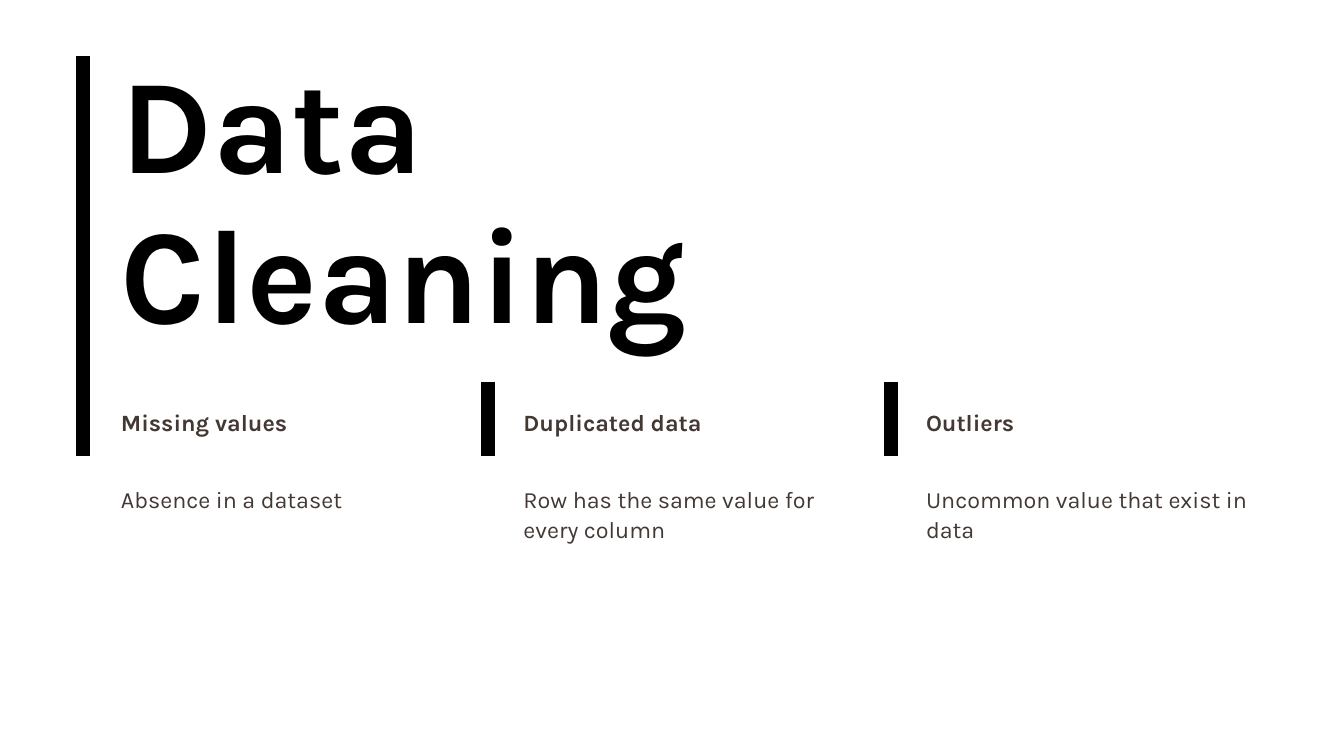
from pptx import Presentation
from pptx.dml.color import RGBColor
from pptx.enum.shapes import MSO_CONNECTOR
from pptx.enum.text import MSO_ANCHOR, MSO_AUTO_SIZE, PP_ALIGN
from pptx.oxml.ns import qn
from pptx.util import Pt
from lxml.etree import SubElement

TITLE = "Data Cleaning"
COLUMNS = [
    ("Missing values", "Absence in a dataset"),
    ("Duplicated data", "Row has the same value for every column"),
    ("Outliers", "Uncommon value that exist in data"),
]
BARS = [(88.6, 60.5), (523.4, 409), (954.7, 409)]
BAR_BOTTOM, BAR_WIDTH = 489, 15
LEFT, COLUMN_PITCH, COLUMN_WIDTH = 129.6, 431.3, 355
HEADING_TOP, DETAIL_TOP = 434.9, 517.7
LINE_HEIGHT = 31.3

TITLE_FONT = {"name": "Karla", "size": Pt(144), "bold": True}
HEADING_FONT = {"name": "Karla", "size": Pt(25), "bold": True}
DETAIL_FONT = {"name": "Karla", "size": Pt(25), "bold": False}
FRAME = {
    "margin_left": 0, "margin_top": 0, "margin_right": 0, "margin_bottom": 0,
    "word_wrap": True, "auto_size": MSO_AUTO_SIZE.NONE,
    "vertical_anchor": MSO_ANCHOR.TOP,
}


def color(value):
    return RGBColor.from_string(value)


def apply(target, values):
    for name, value in values.items():
        setattr(target, name, value)


def write(shape, text, font, ink, spacing):
    apply(shape.text_frame, FRAME)
    paragraph = shape.text_frame.paragraphs[0]
    apply(paragraph, {"alignment": PP_ALIGN.LEFT, "line_spacing": spacing})
    run = paragraph.add_run()
    run.text = text
    apply(run.font, font)
    run.font.color.rgb = color(ink)


def add_bar(slide, x, top):
    bar = slide.shapes.add_connector(
        MSO_CONNECTOR.STRAIGHT, Pt(x), Pt(top), Pt(x), Pt(BAR_BOTTOM))
    bar.line.width = Pt(BAR_WIDTH)
    bar.line.color.rgb = color("000000")
    SubElement(bar.element.spPr, qn("a:effectLst"))


def add_label(slide, x, top, height, text, font):
    label = slide.shapes.add_textbox(
        Pt(x), Pt(top), Pt(COLUMN_WIDTH), Pt(height))
    write(label, text, font, "433833", 1.07)


def main():
    presentation = Presentation()
    apply(presentation, {"slide_width": Pt(1440), "slide_height": Pt(810)})
    slide = presentation.slides.add_slide(presentation.slide_layouts[5])

    for x, top in BARS:
        add_bar(slide, x, top)

    title = slide.shapes.title
    apply(title, {"left": Pt(LEFT), "top": Pt(56.9),
                  "width": Pt(639.4), "height": Pt(324.7)})
    write(title, TITLE, TITLE_FONT, "000000", 0.93)

    for index, (heading, detail) in enumerate(COLUMNS):
        x = LEFT + index * COLUMN_PITCH
        add_label(slide, x, HEADING_TOP, LINE_HEIGHT, heading, HEADING_FONT)
        lines = 1 if index == 0 else 2
        add_label(slide, x, DETAIL_TOP, lines * LINE_HEIGHT, detail, DETAIL_FONT)

    presentation.save("out.pptx")


if __name__ == "__main__":
    main()
